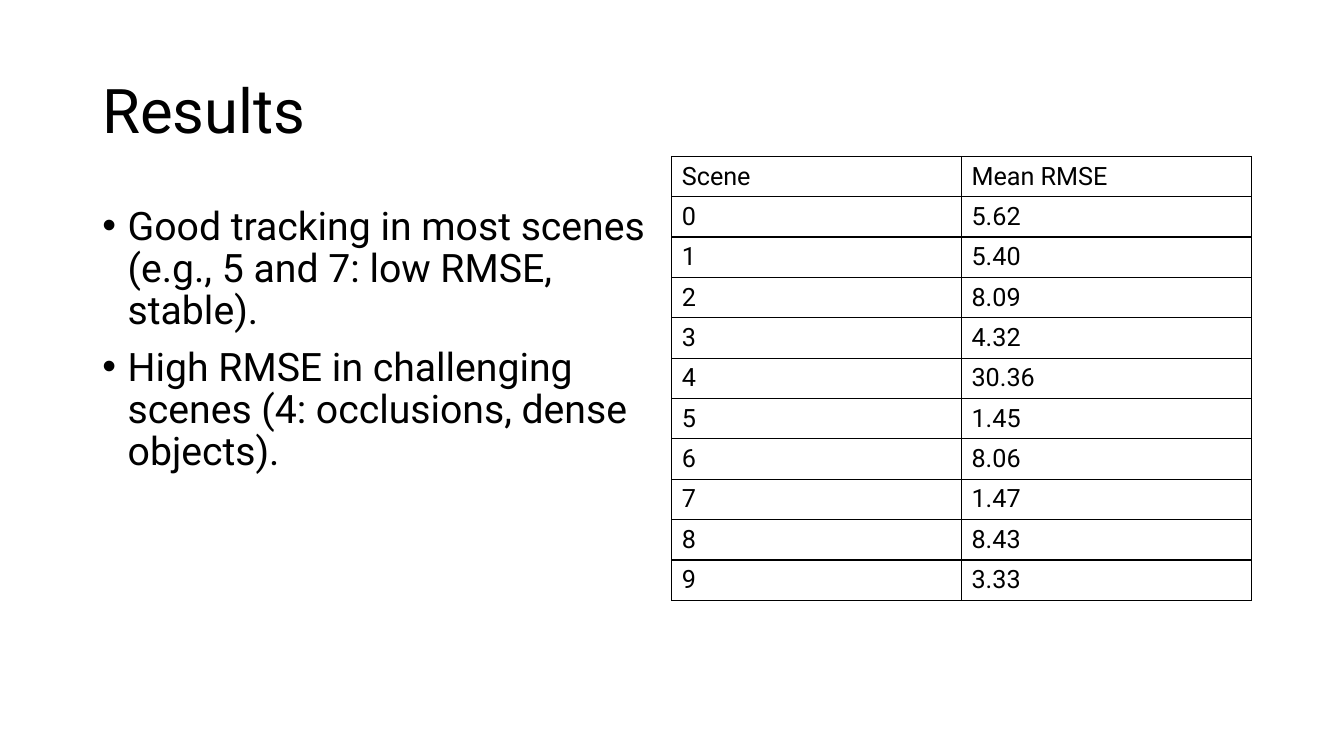
from dataclasses import dataclass

from lxml import etree
from pptx import Presentation
from pptx.dml.color import RGBColor
from pptx.enum.text import MSO_ANCHOR
from pptx.oxml.ns import qn
from pptx.util import Cm, Pt

MIDDLE = MSO_ANCHOR.MIDDLE
TOP = MSO_ANCHOR.TOP
BLANK_LAYOUT = 6


@dataclass(frozen=True)
class Theme:
    font: str = "Roboto"
    ink: str = "000000"
    title_size: int = 44
    body_size: int = 28
    table_size: int = 18
    border_width: int = 1
    line_spacing: float = 0.9


THEME = Theme()

FINDINGS = [
    "Good tracking in most scenes (e.g., 5 and 7: low RMSE, stable).",
    "High RMSE in challenging scenes (4: occlusions, dense objects).",
]
MEAN_RMSE = ["5.62", "5.40", "8.09", "4.32", "30.36",
             "1.45", "8.06", "1.47", "8.43", "3.33"]


def add_run(paragraph, text, size):
    run = paragraph.add_run()
    run.text = text
    run.font.name = THEME.font
    run.font.size = Pt(size)
    run.font.bold = False
    run.font.color.rgb = RGBColor.from_string(THEME.ink)


def add_bullet(paragraph):
    properties = paragraph._p.get_or_add_pPr()
    properties.set("marL", str(Cm(0.64)))
    properties.set("indent", str(Cm(-0.64)))
    etree.SubElement(properties, qn("a:buFont"), typeface="Arial")
    etree.SubElement(properties, qn("a:buChar"), char="•")


def add_text(slide, left, top, width, height, lines, size, anchor, bulleted=False):
    frame = slide.shapes.add_textbox(left, top, width, height).text_frame
    frame.word_wrap = True
    frame.vertical_anchor = anchor
    for index, line in enumerate(lines):
        paragraph = frame.add_paragraph() if index else frame.paragraphs[0]
        if bulleted:
            add_bullet(paragraph)
        paragraph.line_spacing = THEME.line_spacing
        if index:
            paragraph.space_before = Pt(10)
        add_run(paragraph, line, size)


def add_borders(cell):
    properties = cell._tc.get_or_add_tcPr()
    for side in ("lnL", "lnR", "lnT", "lnB"):
        line = etree.SubElement(properties, qn(f"a:{side}"), w=str(Pt(THEME.border_width)))
        fill = etree.SubElement(line, qn("a:solidFill"))
        etree.SubElement(fill, qn("a:srgbClr"), val=THEME.ink)


def add_grid(slide, left, top, column_width, row_height, rows):
    columns = len(rows[0])
    table = slide.shapes.add_table(
        len(rows), columns, left, top, column_width * columns, row_height * len(rows)
    ).table
    table.first_row = False
    table.horz_banding = False
    for column in table.columns:
        column.width = column_width
    for row, values in zip(table.rows, rows):
        row.height = row_height
        for cell, value in zip(row.cells, values):
            add_borders(cell)
            cell.fill.background()
            cell.vertical_anchor = MIDDLE
            add_run(cell.text_frame.paragraphs[0], value, THEME.table_size)


def main():
    presentation = Presentation()
    presentation.slide_width = Cm(33.87)
    presentation.slide_height = Cm(19.05)
    slide = presentation.slides.add_slide(presentation.slide_layouts[BLANK_LAYOUT])

    add_text(slide, Cm(2.33), Cm(1.01), Cm(29.21), Cm(3.68),
             ["Results"], THEME.title_size, MIDDLE)
    add_text(slide, Cm(2.33), Cm(5.07), Cm(14.6), Cm(12.09),
             FINDINGS, THEME.body_size, TOP, bulleted=True)
    scores = [(str(scene), rmse) for scene, rmse in enumerate(MEAN_RMSE)]
    add_grid(slide, Cm(16.93), Cm(3.94), Cm(7.3), Cm(1),
             [("Scene", "Mean RMSE"), *scores])

    presentation.save("out.pptx")


if __name__ == "__main__":
    main()
